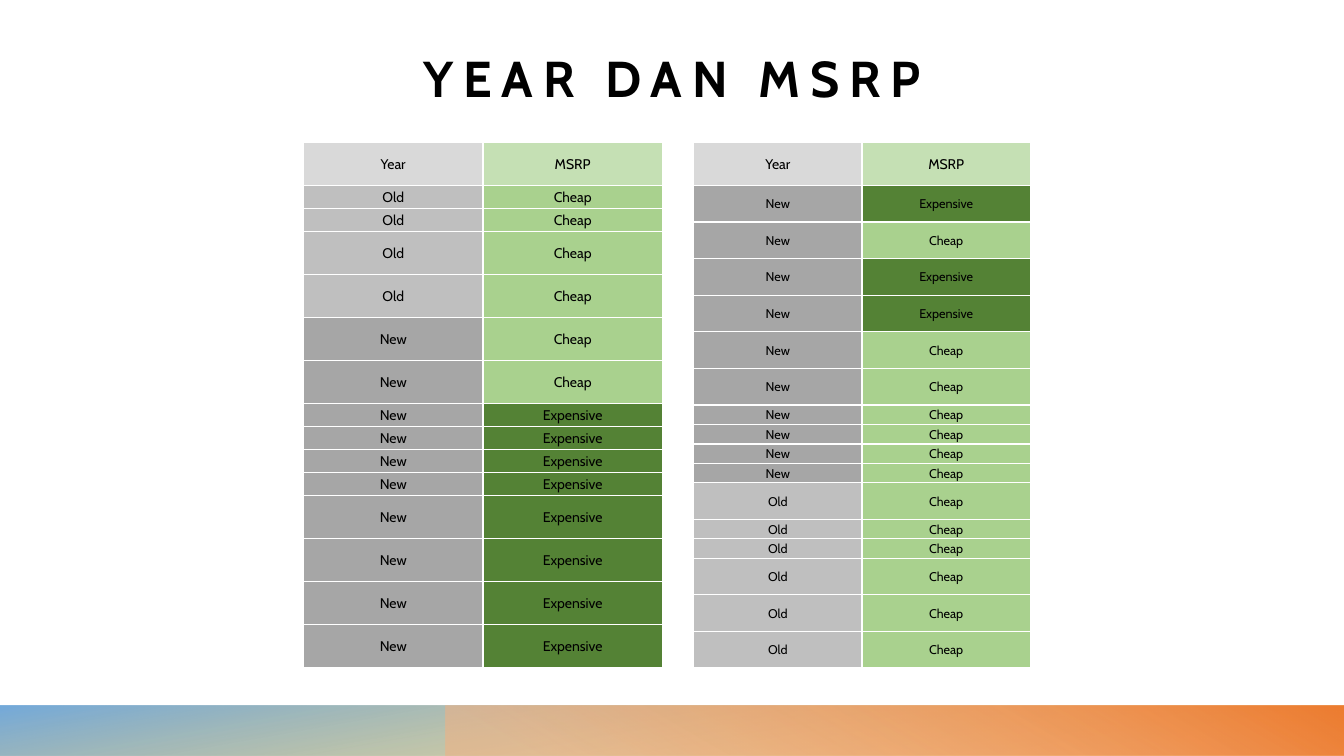
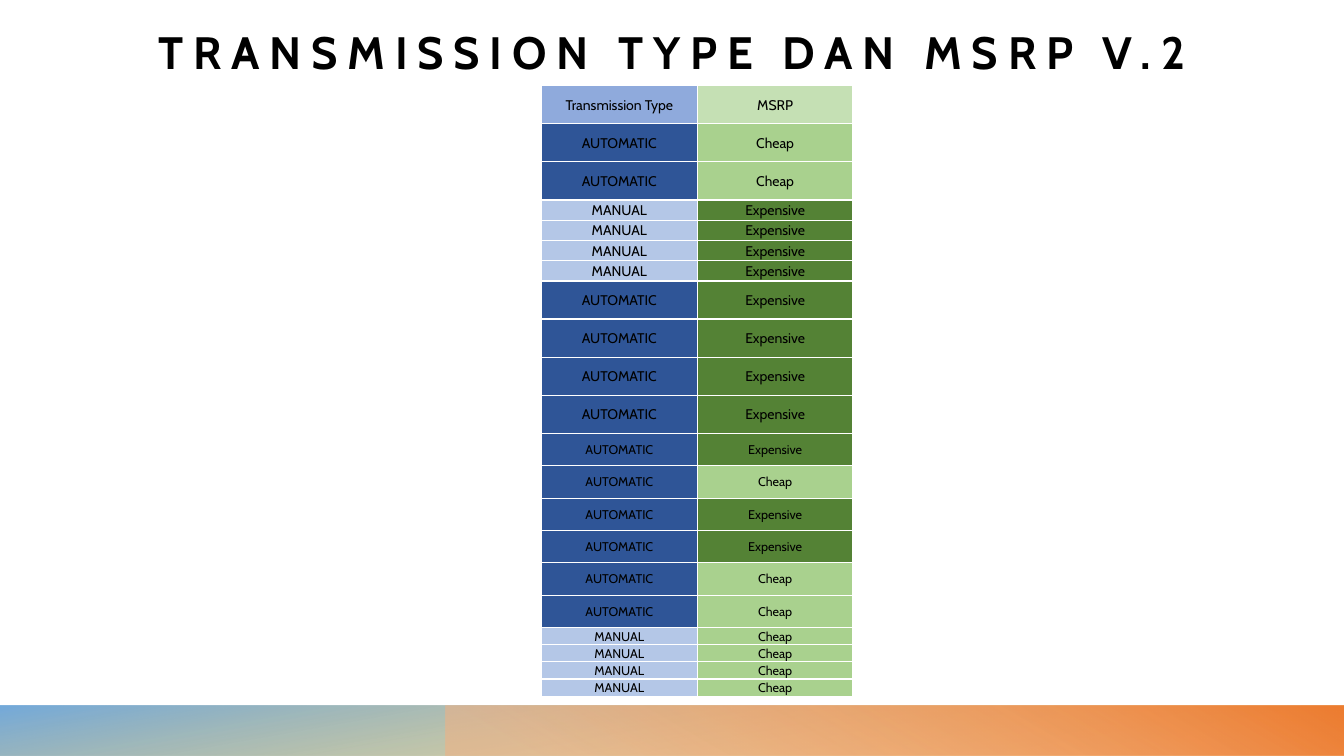
from lxml import etree
from pptx import Presentation
from pptx.dml.color import RGBColor
from pptx.enum.shapes import MSO_SHAPE
from pptx.enum.text import MSO_ANCHOR, MSO_AUTO_SIZE, PP_ALIGN
from pptx.oxml import parse_xml
from pptx.oxml.ns import nsdecls, qn
from pptx.util import Inches, Pt

RECT = MSO_SHAPE.RECTANGLE
CENTER = PP_ALIGN.CENTER
MIDDLE, BOTTOM = MSO_ANCHOR.MIDDLE, MSO_ANCHOR.BOTTOM
NO_FIT = MSO_AUTO_SIZE.NONE

FONT = "Cabin"
COLORS = {
    "text": "000000", "border": "FFFFFF",
    "gold": "CF9B00", "blue": "5B9BD5", "peach": "F4B183", "orange": "ED7D31",
}
# Cell fill for each label
FILLS = {
    "Year": "D9D9D9", "Old": "BFBFBF", "New": "A6A6A6",
    "Transmission Type": "8FAADC", "AUTOMATIC": "2F5597", "MANUAL": "B4C7E7",
    "MSRP": "C5E0B4", "Cheap": "A9D18E", "Expensive": "548235",
}
# Relative row heights
TALL, SHORT = 1.88, 1

# Row groups: first label, second label, number of rows, row height
YEAR_HEADER = [("Year", "MSRP", 1, TALL)]
YEAR_LEFT = YEAR_HEADER + [
    ("Old", "Cheap", 2, SHORT),
    ("Old", "Cheap", 2, TALL),
    ("New", "Cheap", 2, TALL),
    ("New", "Expensive", 4, SHORT),
    ("New", "Expensive", 4, TALL),
]
YEAR_RIGHT = [
    ("New", "Expensive", 1, TALL),
    ("New", "Cheap", 1, TALL),
    ("New", "Expensive", 2, TALL),
    ("New", "Cheap", 2, TALL),
    ("New", "Cheap", 4, SHORT),
    ("Old", "Cheap", 1, TALL),
    ("Old", "Cheap", 2, SHORT),
    ("Old", "Cheap", 3, TALL),
]
TRANSMISSION_TOP = [
    ("Transmission Type", "MSRP", 1, TALL),
    ("AUTOMATIC", "Cheap", 2, TALL),
    ("MANUAL", "Expensive", 4, SHORT),
    ("AUTOMATIC", "Expensive", 4, TALL),
]
TRANSMISSION_BOTTOM = [
    ("AUTOMATIC", "Expensive", 1, TALL),
    ("AUTOMATIC", "Cheap", 1, TALL),
    ("AUTOMATIC", "Expensive", 2, TALL),
    ("AUTOMATIC", "Cheap", 2, TALL),
    ("MANUAL", "Cheap", 4, SHORT),
]


def style_text(p, size, bold=False):
    p.alignment = CENTER
    p.font.name, p.font.size, p.font.bold = FONT, Pt(size), bold
    p.font.color.rgb = RGBColor.from_string(COLORS["text"])


def add_band(s, layout, left, width, stops, angle, rotation=0):
    """Draw a mirrored gradient band and move it to the layout."""
    band = s.shapes.add_shape(RECT, Inches(left), Inches(7), Inches(width), Inches(0.5))
    band.shadow.inherit = False
    band.rotation = rotation
    band.line.fill.background()
    sp_pr = band.element.spPr
    sp_pr.find(qn("a:xfrm")).set("flipH", "1")
    gs = "".join(
        f'<a:gs pos="{pos * 1000}"><a:srgbClr val="{COLORS[color]}">'
        f'<a:alpha val="{alpha * 1000}"/></a:srgbClr></a:gs>'
        for pos, color, alpha in stops)
    sp_pr.find(qn("a:prstGeom")).addnext(parse_xml(
        f'<a:gradFill {nsdecls("a")} rotWithShape="1"><a:gsLst>{gs}</a:gsLst>'
        f'<a:lin ang="{angle * 60000}" scaled="0"/></a:gradFill>'))
    layout.shapes.element.append(band.element)


def add_footer(s, layout):
    add_band(s, layout, 0, 13.33, [(14, "gold", 28), (100, "blue", 85)], 100, 180)
    add_band(s, layout, 4.42, 8.92, [(9, "peach", 55), (99, "orange", 100)], 240)


def set_title(s, text, top, size):
    title = s.shapes.title
    title.left, title.top = Inches(1.07), Inches(top)
    title.width, title.height = Inches(11.2), Inches(0.77)
    tf = title.text_frame
    tf.text = text
    tf.auto_size, tf.vertical_anchor = NO_FIT, BOTTOM
    tf.margin_left = tf.margin_top = tf.margin_right = tf.margin_bottom = 0
    p = tf.paragraphs[0]
    style_text(p, size, bold=True)
    p.runs[0].font._element.set("spc", "700")


def add_borders(cell):
    tc_pr = cell._tc.get_or_add_tcPr()
    for side in ("lnL", "lnR", "lnT", "lnB"):
        ln = etree.SubElement(tc_pr, qn(f"a:{side}"), w=str(Pt(1)))
        fill = etree.SubElement(ln, qn("a:solidFill"))
        etree.SubElement(fill, qn("a:srgbClr"), val=COLORS["border"])


def fill_cell(cell, label, size):
    cell.text = label
    cell.vertical_anchor = MIDDLE
    cell.margin_left = cell.margin_top = cell.margin_right = Inches(0.01)
    cell.margin_bottom = 0
    style_text(cell.text_frame.paragraphs[0], size)
    add_borders(cell)
    cell.fill.solid()
    cell.fill.fore_color.rgb = RGBColor.from_string(FILLS[label])


def add_label_table(s, box, groups, size):
    """Fill the box with two equal columns and rows in proportion."""
    left, top, width, height = box
    rows = [(a, b, weight) for a, b, count, weight in groups for _ in range(count)]
    unit = height / sum(weight for _, _, weight in rows)
    table = s.shapes.add_table(len(rows), 2, Inches(left), Inches(top),
                               Inches(width), Inches(height)).table
    table.first_row = table.horz_banding = False
    for row, (first, second, weight) in zip(table.rows, rows):
        row.height = Inches(unit * weight)
        for cell, label in zip(row.cells, (first, second)):
            fill_cell(cell, label, size)


def year_slide(s):
    set_title(s, "YEAR DAN MSRP", 0.3, 36)
    add_label_table(s, (3.01, 1.41, 3.56, 5.22), YEAR_LEFT, 10)
    add_label_table(s, (6.88, 1.84, 3.34, 4.79), YEAR_RIGHT, 9)
    add_label_table(s, (6.88, 1.41, 3.34, 0.43), YEAR_HEADER, 10)


def transmission_slide(s):
    set_title(s, "TRANSMISSION TYPE DAN MSRP V.2", 0.01, 32.4)
    add_label_table(s, (5.37, 0.85, 3.09, 3.45), TRANSMISSION_TOP, 10)
    add_label_table(s, (5.37, 4.3, 3.09, 2.61), TRANSMISSION_BOTTOM, 9)


prs = Presentation()
prs.slide_width, prs.slide_height = Inches(13.33), Inches(7.5)
title_only = prs.slide_layouts[5]
slides = [prs.slides.add_slide(title_only) for _ in range(2)]
add_footer(slides[0], title_only)
year_slide(slides[0])
transmission_slide(slides[1])
prs.save("out.pptx")
